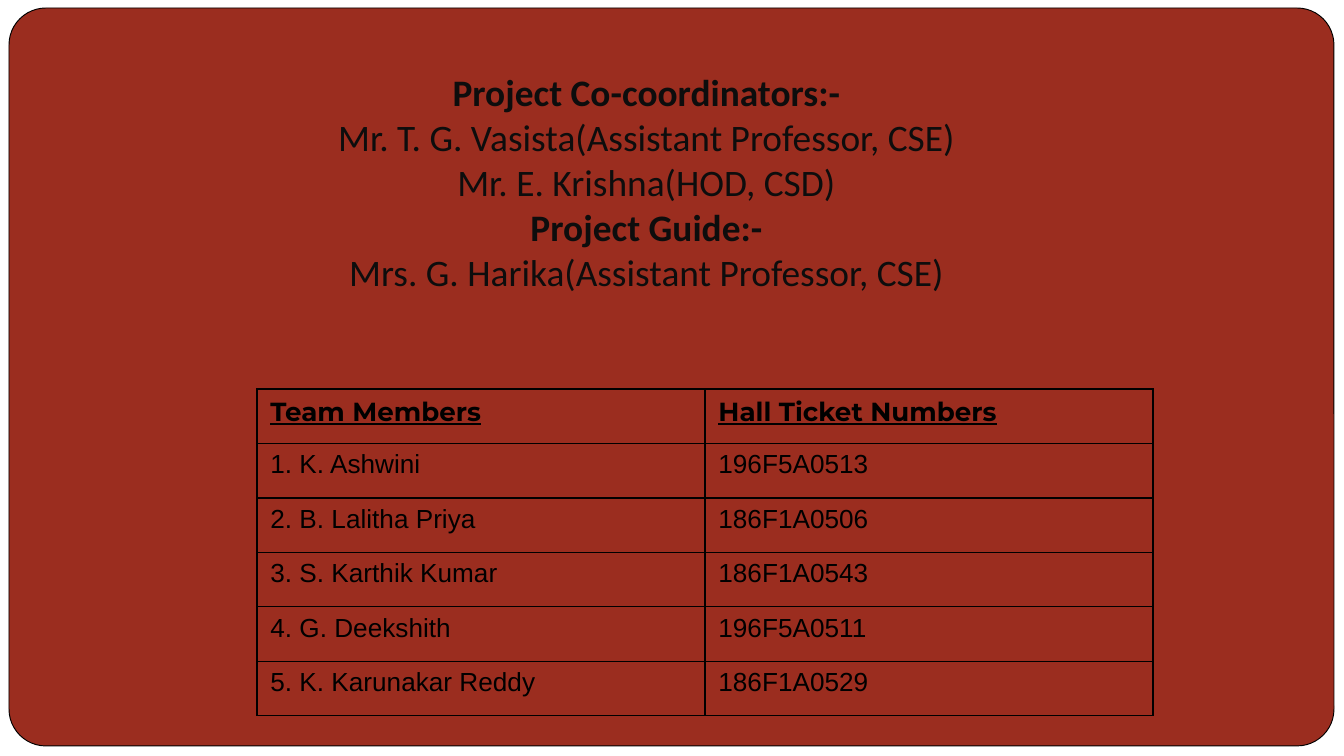
import pptx
import pptx.dml.color
import pptx.enum.shapes
import pptx.enum.text
import pptx.oxml
import pptx.oxml.ns
import pptx.util

EMU_PER_PX = 914400 / 134.4
SLIDE_WIDTH, SLIDE_HEIGHT = 1344, 756
RUST = pptx.dml.color.RGBColor(0x9B, 0x2D, 0x1F)
WHITE = pptx.dml.color.RGBColor(0xFF, 0xFF, 0xFF)
BLACK = pptx.dml.color.RGBColor(0, 0, 0)
CHARCOAL = pptx.dml.color.RGBColor(0x0D, 0x0D, 0x0D)

TITLE_LINES = [
    ("Project Co-coordinators:-", True),
    ("Mr. T. G. Vasista(Assistant Professor, CSE)", False),
    ("Mr. E. Krishna(HOD, CSD)", False),
    ("Project Guide:-", True),
    ("Mrs. G. Harika(Assistant Professor, CSE)", False),
]
TEAM = [
    ("Team Members", "Hall Ticket Numbers"),
    ("1. K. Ashwini", "196F5A0513"),
    ("2. B. Lalitha Priya", "186F1A0506"),
    ("3. S. Karthik Kumar", "186F1A0543"),
    ("4. G. Deekshith", "196F5A0511"),
    ("5. K. Karunakar Reddy", "186F1A0529"),
]


def px(length):
    return pptx.util.Emu(round(length * EMU_PER_PX))


def box(left, top, width, height):
    return [px(length) for length in (left, top, width, height)]


def add_panel(slide, kind, bounds, color, outline=None):
    shape = slide.shapes.add_shape(kind, *box(*bounds))
    shape.shadow.inherit = False
    shape.fill.solid()
    shape.fill.fore_color.rgb = color
    if outline is None:
        shape.line.fill.background()
    else:
        shape.line.color.rgb = outline
        shape.line.width = pptx.util.Pt(0.5)
    return shape


def add_run(paragraph, text, font_name, size, color, bold=False, underline=False):
    run = paragraph.add_run()
    run.text = text
    run.font.name = font_name
    run.font.size = pptx.util.Pt(size)
    run.font.color.rgb = color
    run.font.bold = bold
    run.font.underline = underline


def fill_title(slide, bounds):
    title = slide.shapes.title
    title.left, title.top, title.width, title.height = box(*bounds)
    title.element.getparent().append(title.element)
    frame = title.text_frame
    frame.word_wrap = True
    frame.auto_size = pptx.enum.text.MSO_AUTO_SIZE.NONE
    frame.vertical_anchor = pptx.enum.text.MSO_ANCHOR.BOTTOM
    inset = pptx.util.Inches(0.1)
    frame.margin_left = frame.margin_right = inset
    frame.margin_top = frame.margin_bottom = inset
    paragraph = frame.paragraphs[0]
    paragraph.alignment = pptx.enum.text.PP_ALIGN.CENTER
    for index, (text, bold) in enumerate(TITLE_LINES):
        if index:
            paragraph.add_line_break()
        add_run(paragraph, text, "Calibri", 20, CHARCOAL, bold)


def set_borders(cell, color, width):
    properties = cell._tc.get_or_add_tcPr()
    for side in ("lnL", "lnR", "lnT", "lnB"):
        properties.append(pptx.oxml.parse_xml(
            f'<a:{side} {pptx.oxml.ns.nsdecls("a")} w="{pptx.util.Pt(width)}">'
            f'<a:solidFill><a:srgbClr val="{color}"/></a:solidFill></a:{side}>'
        ))


def add_team_table(slide, bounds):
    table = slide.shapes.add_table(len(TEAM), len(TEAM[0]), *box(*bounds)).table
    table.first_row = False
    table.horz_banding = False
    for row_index, values in enumerate(TEAM):
        header = row_index == 0
        font_name = "Montserrat" if header else "Arial"
        for column_index, text in enumerate(values):
            cell = table.cell(row_index, column_index)
            set_borders(cell, BLACK, 0.75)
            cell.fill.background()
            add_run(cell.text_frame.paragraphs[0], text, font_name, 14, BLACK, header, header)


def main():
    presentation = pptx.Presentation()
    presentation.slide_width = px(SLIDE_WIDTH)
    presentation.slide_height = px(SLIDE_HEIGHT)
    slide = presentation.slides.add_slide(presentation.slide_layouts[0])
    subtitle = slide.placeholders[1].element
    subtitle.getparent().remove(subtitle)
    slide.background.fill.solid()
    slide.background.fill.fore_color.rgb = RUST

    kinds = pptx.enum.shapes.MSO_SHAPE
    add_panel(slide, kinds.RECTANGLE, (0, 0, SLIDE_WIDTH, SLIDE_HEIGHT), WHITE)
    card = add_panel(slide, kinds.ROUNDED_RECTANGLE, (9, 8, 1325, 738), RUST, BLACK)
    card.adjustments[0] = 0.05
    fill_title(slide, (246, 42, 801, 265))
    add_team_table(slide, (257, 389, 896, 327))
    presentation.save("out.pptx")


if __name__ == "__main__":
    main()
